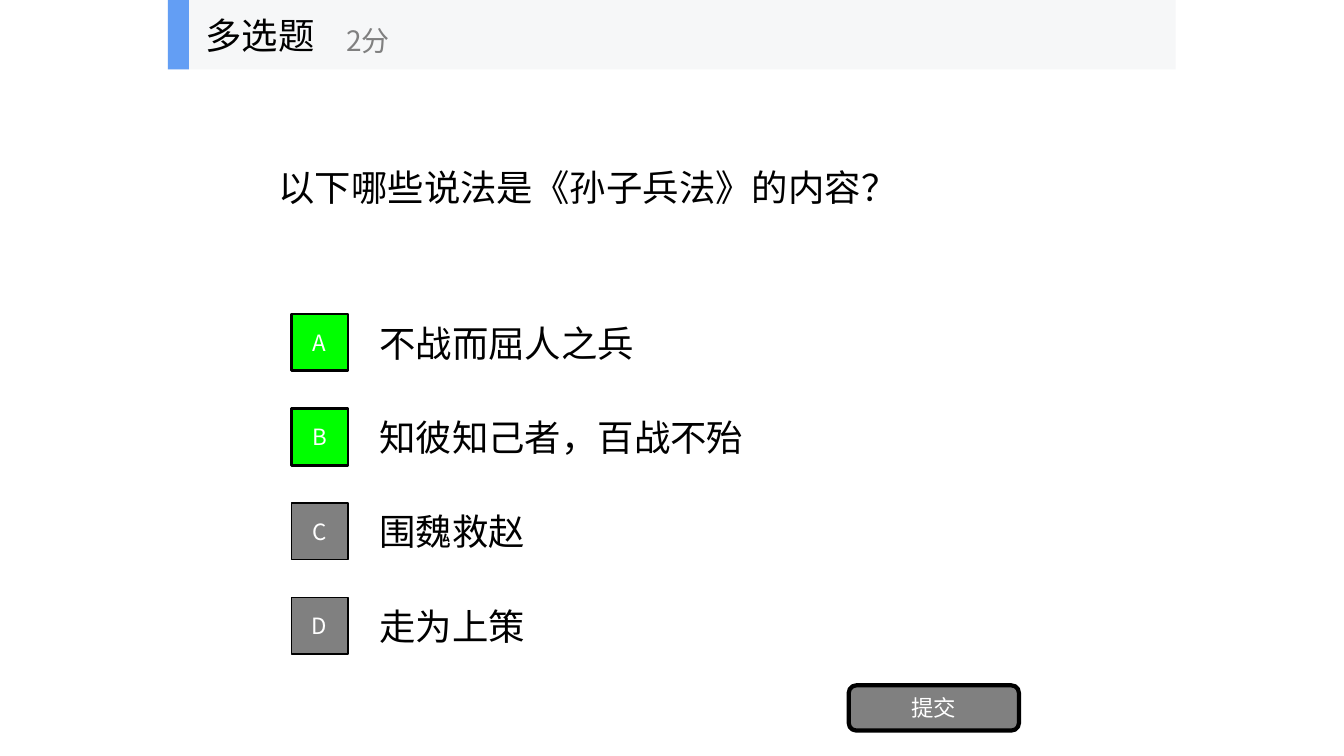
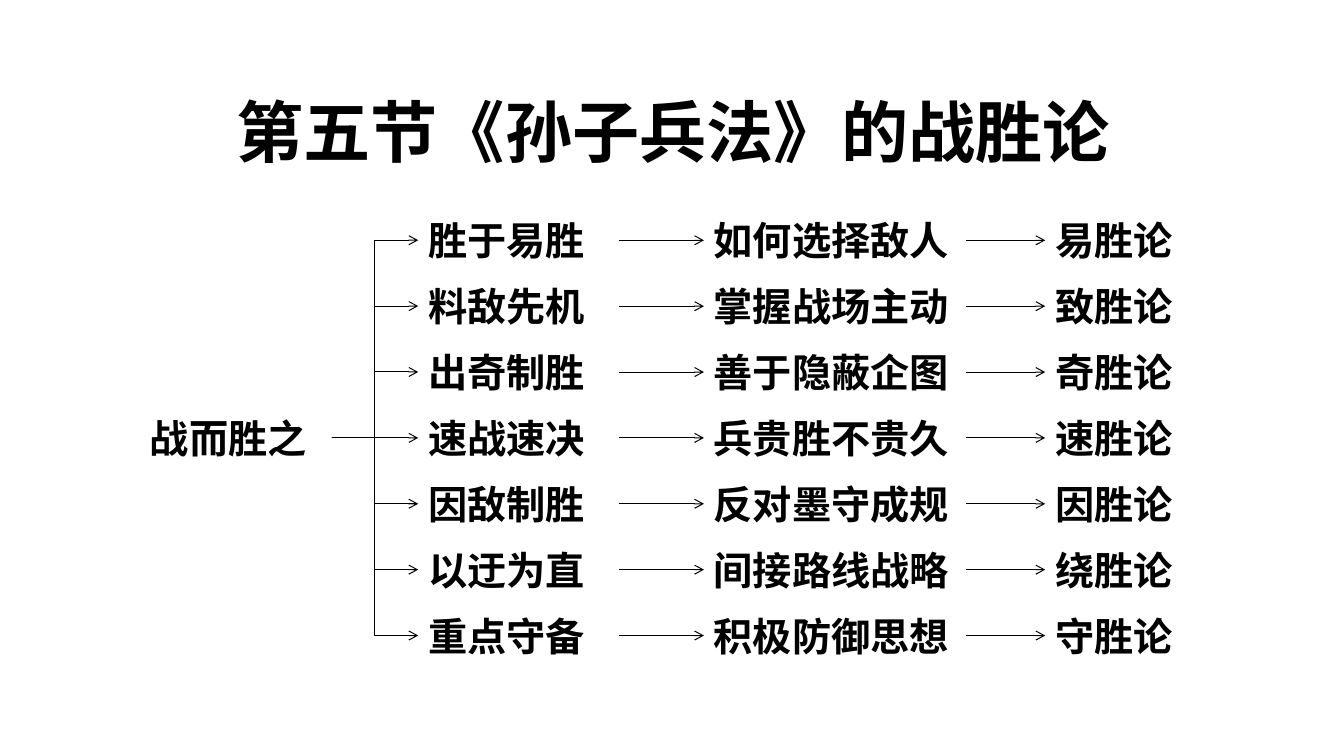
from lxml.etree import SubElement
from pptx import Presentation
from pptx.dml.color import RGBColor
from pptx.enum.shapes import MSO_CONNECTOR, MSO_SHAPE
from pptx.enum.text import MSO_ANCHOR, PP_ALIGN
from pptx.oxml.ns import qn
from pptx.util import Cm, Pt

FONT = "Noto Sans CJK SC"
BLACK, WHITE, GREY = "000000", "FFFFFF", "808080"
GREEN, BAND, ACCENT = "00FF00", "F6F7F8", "639EF4"
LEFT_SITE, RIGHT_SITE = 1, 3

BODY = {"size": Pt(26)}
POINTS = {"size": Pt(20)}
BUTTON = {"size": Pt(16)}
TITLE = {"size": Pt(48), "bold": True}
NODE = {"size": Pt(28), "bold": True}

OPTIONS = [
    ("A", "不战而屈人之兵", True),
    ("B", "知彼知己者，百战不殆", True),
    ("C", "围魏救赵", False),
    ("D", "走为上策", False),
]
CHAINS = [
    ("胜于易胜", "如何选择敌人", "易胜论"),
    ("料敌先机", "掌握战场主动", "致胜论"),
    ("出奇制胜", "善于隐蔽企图", "奇胜论"),
    ("速战速决", "兵贵胜不贵久", "速胜论"),
    ("因敌制胜", "反对墨守成规", "因胜论"),
    ("以迂为直", "间接路线战略", "绕胜论"),
    ("重点守备", "积极防御思想", "守胜论"),
]


def rgb(value):
    return RGBColor.from_string(value)


def write(sp, text, style, color=BLACK, align=PP_ALIGN.LEFT):
    tf = sp.text_frame
    tf.word_wrap = True
    tf.vertical_anchor = MSO_ANCHOR.MIDDLE
    p = tf.paragraphs[0]
    p.alignment = align
    r = p.add_run()
    r.text = text
    for name, value in {"name": FONT, **style}.items():
        setattr(r.font, name, value)
    r.font.color.rgb = rgb(color)
    SubElement(r.font._element, qn("a:ea"), typeface=FONT)


def add_text(s, box, text, style, **options):
    sp = s.shapes.add_textbox(*map(Cm, box))
    write(sp, text, style, **options)
    return sp


def add_block(s, box, fill, kind=MSO_SHAPE.RECTANGLE, border=0):
    sp = s.shapes.add_shape(kind, *map(Cm, box))
    sp.shadow.inherit = False
    sp.fill.solid()
    sp.fill.fore_color.rgb = rgb(fill)
    if border:
        sp.line.color.rgb = rgb(BLACK)
        sp.line.width = Pt(border)
    else:
        sp.line.fill.background()
    return sp


def add_button(s, box, text, fill, border, kind=MSO_SHAPE.RECTANGLE):
    sp = add_block(s, box, fill, kind, border)
    write(sp, text, BUTTON, color=WHITE, align=PP_ALIGN.CENTER)


def add_arrow(s, source, target):
    level = source.top == target.top
    kind = MSO_CONNECTOR.STRAIGHT if level else MSO_CONNECTOR.ELBOW
    arrow = s.shapes.add_connector(kind, 0, 0, 0, 0)
    arrow.begin_connect(source, RIGHT_SITE)
    arrow.end_connect(target, LEFT_SITE)
    arrow.line.color.rgb = rgb(BLACK)
    arrow.line.width = Pt(0.75)
    SubElement(arrow.line._get_or_add_ln(), qn("a:tailEnd"), type="arrow")
    SubElement(arrow._element.spPr, qn("a:effectLst"))


def add_header(s, x, y, w, h):
    add_block(s, (x, y, w, h), BAND)
    add_block(s, (x, y, 0.53, h), ACCENT)
    add_text(s, (x + 0.7, y, 5.28, h), "多选题", BODY)
    add_text(s, (x + 4.25, y + 0.3, 6.35, 1.42), "2分", POINTS, color=GREY)


def add_options(s, x, y, w, pitch):
    height, badge = 1.78, 1.43
    for i, (letter, text, correct) in enumerate(OPTIONS):
        top = y + i * pitch
        fill, border = (GREEN, 2) if correct else (GREY, 1)
        badge_top = top + (height - badge) / 2
        add_button(s, (x, badge_top, badge, badge), letter, fill, border)
        add_text(s, (x + 1.97, top, w - 1.97, height), text, BODY)


def add_tree(s, x, y, pitch):
    height = 1.45
    columns = [(7.01, 5.05), (14.21, 6.6), (22.81, 3.81)]
    middle = y + len(CHAINS) // 2 * pitch
    root = add_text(s, (x, middle, 4.83, height), "战而胜之", NODE)
    for i, chain in enumerate(CHAINS):
        previous = root
        for text, (dx, w) in zip(chain, columns):
            node = add_text(s, (x + dx, y + i * pitch, w, height), text, NODE)
            add_arrow(s, previous, node)
            previous = node


def quiz_slide(prs):
    s = prs.slides.add_slide(prs.slide_layouts[6])
    add_text(s, (6.77, 1.75, 20.32, 5.94), "以下哪些说法是《孙子兵法》的内容？", BODY)
    add_options(s, 7.34, 7.74, 19.75, 2.38)
    add_button(s, (21.39, 17.27, 4.29, 1.14), "提交", GREY, 3,
               MSO_SHAPE.ROUNDED_RECTANGLE)
    add_header(s, 4.23, 0, 25.4, 1.75)


def tree_slide(prs):
    s = prs.slides.add_slide(prs.slide_layouts[6])
    add_text(s, (0, 2.13, 33.93, 2.31), "第五节《孙子兵法》的战胜论", TITLE,
             align=PP_ALIGN.CENTER)
    add_tree(s, 3.53, 5.33, 1.66)


def main():
    prs = Presentation()
    prs.slide_width, prs.slide_height = Cm(33.87), Cm(19.05)
    quiz_slide(prs)
    tree_slide(prs)
    prs.save("out.pptx")


if __name__ == "__main__":
    main()
